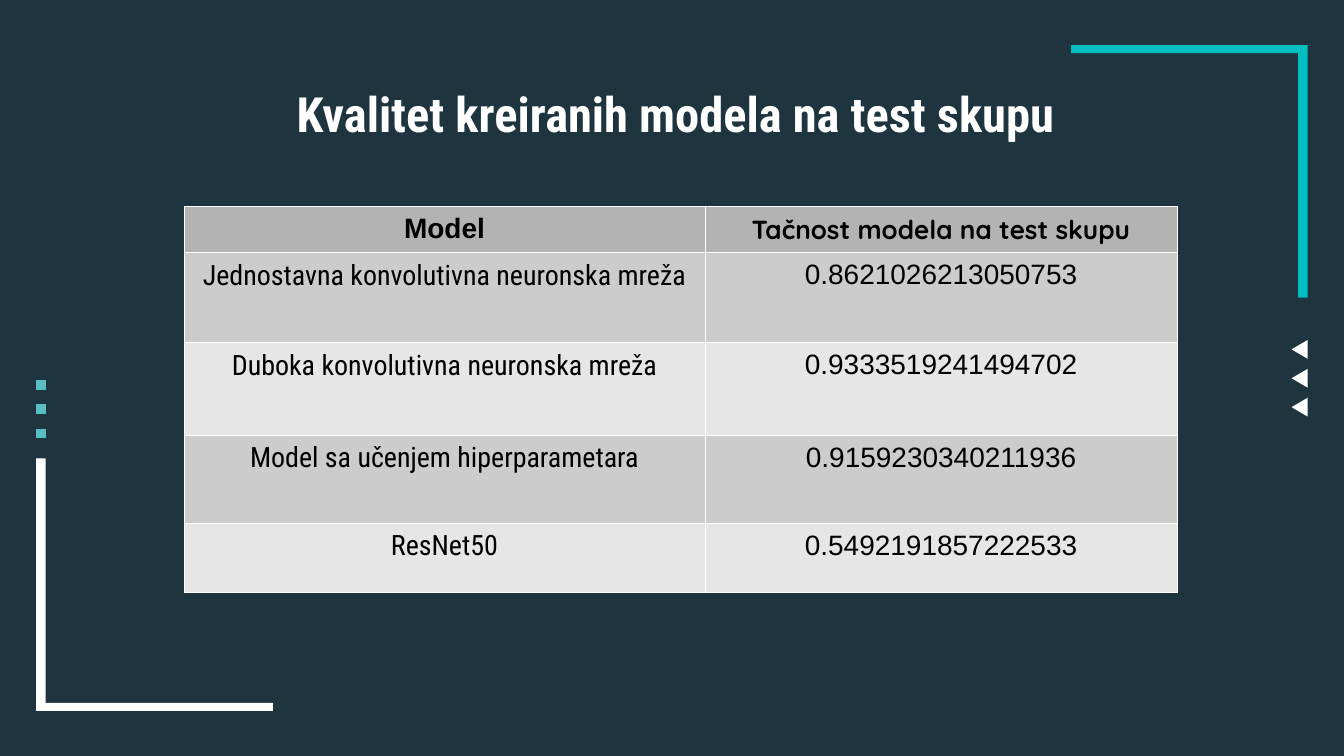
from pptx import Presentation, util as u
from pptx.dml.color import RGBColor
from pptx.enum import text
from pptx.oxml import parse_xml
from pptx.oxml.ns import nsdecls

DARK = RGBColor(0x1E, 0x34, 0x3F)
TEAL = RGBColor(0x01, 0xBE, 0xC0)
MINT = RGBColor(0x58, 0xBE, 0xBF)
WHITE = RGBColor(0xFF, 0xFF, 0xFF)
BLACK = RGBColor(0x00, 0x00, 0x00)
HEAD = RGBColor(0xB3, 0xB3, 0xB3)
BANDS = [RGBColor(0xCC, 0xCC, 0xCC), RGBColor(0xE6, 0xE6, 0xE6)]
SANS = "Roboto Condensed"

deck = Presentation()
deck.slide_width = u.Inches(10)
deck.slide_height = u.Inches(5.625)
UNIT = deck.slide_width // 100
slide = deck.slides.add_slide(deck.slide_layouts[5])
slide.background.fill.solid()
slide.background.fill.fore_color.rgb = DARK


def draw(points, color):
    spots = [(round(x * UNIT), round(y * UNIT)) for x, y in points]
    pen = slide.shapes.build_freeform(*spots[0])
    pen.add_line_segments(spots[1:], close=True)
    shape = pen.convert_to_shape()
    shape.shadow.inherit = False
    shape.fill.solid()
    shape.fill.fore_color.rgb = color
    shape.line.fill.background()


def write(frame, words, font, size, bold, color):
    para = frame.paragraphs[0]
    para.alignment = text.PP_ALIGN.CENTER
    run = para.add_run()
    run.text = words
    run.font.name = font
    run.font.size = u.Pt(size)
    run.font.bold = bold
    run.font.color.rgb = color


LEFT, RIGHT, BAR, SIDE = 2.7, 97.3, 0.7, 0.6
WIDE, TALL = 17.6, 18.8

for step in range(3):
    mid = 26 + step * 2.15
    draw([(RIGHT - 1.2, mid), (RIGHT, mid + 0.7), (RIGHT, mid - 0.7)], WHITE)
    top = 28.3 + step * 1.8
    draw([(LEFT, top), (LEFT, top + BAR), (LEFT + BAR, top + BAR), (LEFT + BAR, top)], MINT)

for edge, base, way, color in [(RIGHT, 3.35, -1, TEAL), (LEFT, 52.9, 1, WHITE)]:
    bend = [(0, 0), (WIDE, 0), (WIDE, SIDE), (BAR, SIDE), (BAR, TALL), (0, TALL)]
    draw([(edge + way * x, base - way * y) for x, y in bend], color)

ROWS = [
    ("Model", "Tačnost modela na test skupu"),
    ("Jednostavna konvolutivna neuronska mreža", "0.8621026213050753"),
    ("Duboka konvolutivna neuronska mreža", "0.9333519241494702"),
    ("Model sa učenjem hiperparametara", "0.9159230340211936"),
    ("ResNet50", "0.5492191857222533"),
]
COLS = [38.75, 35.15]
HIGH = [3.4, 6.7, 6.9, 6.55, 5.15]
box = [round(v * UNIT) for v in (13.7, 15.35, sum(COLS), sum(HIGH))]
table = slide.shapes.add_table(len(ROWS), len(COLS), *box).table
for col, wide in zip(table.columns, COLS):
    col.width = round(wide * UNIT)
for line, high in zip(table.rows, HIGH):
    line.height = round(high * UNIT)

for r, row in enumerate(ROWS):
    for c, words in enumerate(row):
        cell = table.cell(r, c)
        top = r == 0
        font = ["Arial", "Quicksand"][c] if top else [SANS, "Arial"][c]
        size = 14 if top and c else 15
        write(cell.text_frame, words, font, size, top, BLACK)
        props = cell._tc.get_or_add_tcPr()
        for side in ("lnL", "lnR", "lnT", "lnB"):
            props.append(parse_xml(
                f'<a:{side} {nsdecls("a")} w="762"><a:solidFill>'
                f'<a:srgbClr val="{WHITE}"/></a:solidFill></a:{side}>'))
        cell.fill.solid()
        cell.fill.fore_color.rgb = HEAD if top else BANDS[(r - 1) % 2]

title = slide.shapes.title
title.left, title.top, title.width, title.height = [
    round(v * UNIT) for v in (8.1, 5, 84.4, 6.8)]
frame = title.text_frame
frame.word_wrap = True
frame.auto_size = text.MSO_AUTO_SIZE.NONE
frame.vertical_anchor = text.MSO_ANCHOR.MIDDLE
frame.margin_left = frame.margin_right = UNIT
frame.margin_top = frame.margin_bottom = UNIT
write(frame, "Kvalitet kreiranih modela na test skupu", SANS, 26, True, WHITE)

deck.save("out.pptx")
